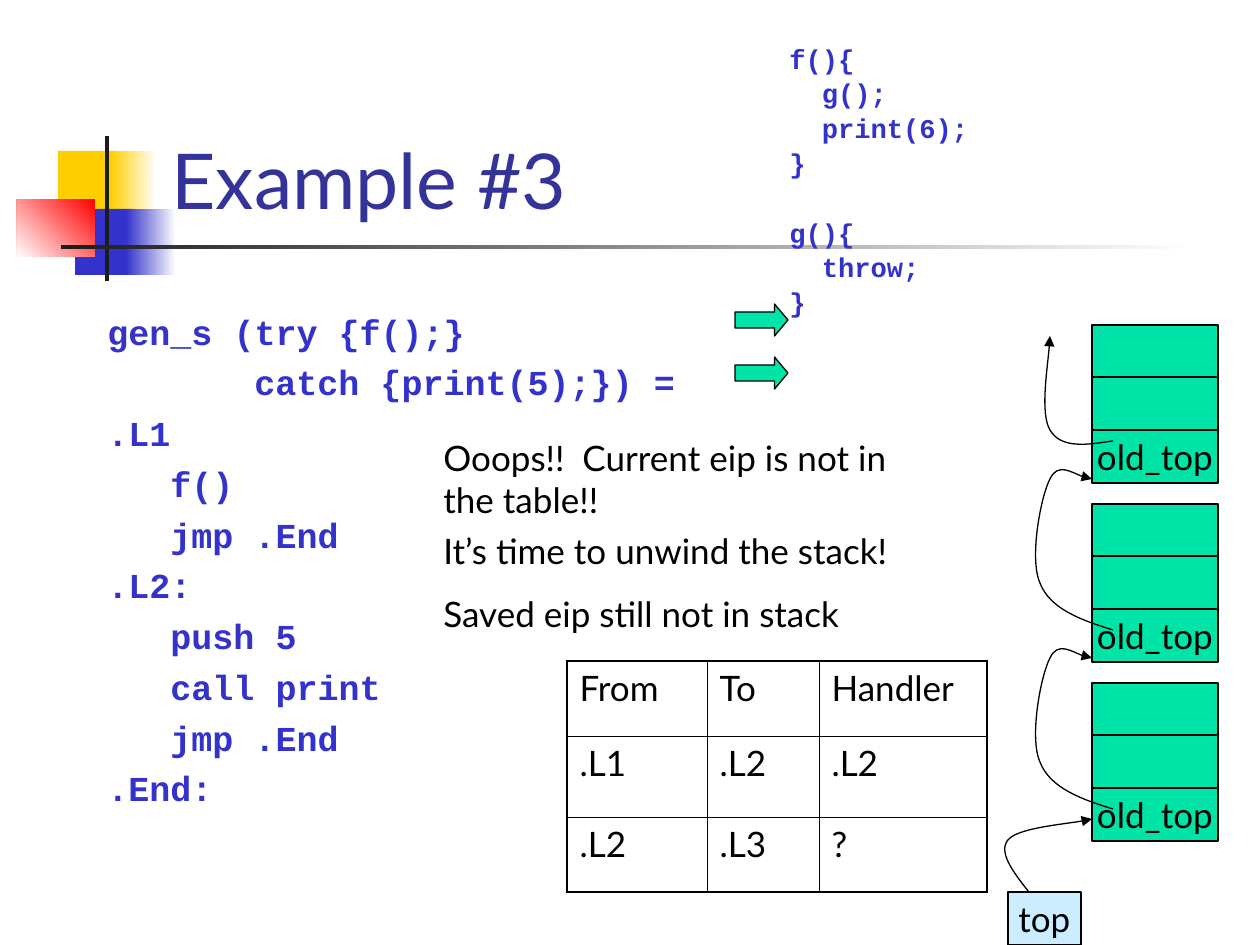
"""Builds the slide on unwinding the stack through saved handler records."""
import pptx
import pptx.dml.color
import pptx.enum.shapes
import pptx.enum.text
import pptx.util
from lxml import etree
from pptx.oxml import ns

RGB = pptx.dml.color.RGBColor
BLACK = RGB(0x00, 0x00, 0x00)
WHITE = RGB(0xFF, 0xFF, 0xFF)
GOLD = RGB(0xFF, 0xCF, 0x01)
BLUE = RGB(0x33, 0x33, 0xCC)
RED = RGB(0xFF, 0x00, 0x00)
CHARCOAL = RGB(0x1C, 0x1C, 0x1C)
GREEN = RGB(0x00, 0xE4, 0xA8)
SKY = RGB(0xCC, 0xEC, 0xFF)
TITLE_BLUE = RGB(0x33, 0x33, 0x99)

SCALE = 914400 / 126
BODY, CODE = "Lato", "Courier New"
SHAPE = pptx.enum.shapes.MSO_SHAPE
ANCHOR = pptx.enum.text.MSO_ANCHOR

TITLE = ("Example #3", (159, 29, 1074, 202))
ORNAMENTS = [
    ((58, 151, 60, 66), GOLD, None),
    ((111, 151, 45, 66), (WHITE, GOLD), 180),
    ((75, 209, 58, 66), BLUE, None),
    ((126, 209, 50, 66), (WHITE, BLUE), 180),
    ((17, 199, 78, 58), (RED, WHITE), 225),
    ((105, 136, 4, 145), CHARCOAL, None),
    ((61, 245, 1134, 4), (WHITE, CHARCOAL), 180),
]
GENERATED = [
    (0, "gen_s (try {f();}"), (7, "catch {print(5);}) ="), (0, ".L1"),
    (3, "f()"), (3, "jmp .End"), (0, ".L2:"), (3, "push 5"),
    (3, "call print"), (3, "jmp .End"), (0, ".End:"),
]
FUNCTIONS = [
    [(0, "f(){"), (2, "g();"), (2, "print(6);"), (0, "}")],
    [(0, "g(){"), (2, "throw;"), (0, "}")],
]
REMARKS = [
    ("Ooops!!  Current eip is not in the table!!", (431, 430, 473, 97)),
    ("It’s time to unwind the stack!", (431, 523, 473, 97)),
    ("Saved eip still not in stack", (431, 586, 473, 55)),
]
HANDLERS = [("From", "To", "Handler"), (".L1", ".L2", ".L2"), (".L2", ".L3", "?")]
COLUMNS, ROWS = (140, 112, 168), (75, 81, 75)
FRAME_CELLS = ["", "", "old_top"]
FRAME_TOP, FRAME_STEP, FRAMES = 325, 179, 3
MARKERS = [(735, 304, 53, 32), (735, 357, 53, 32)]
OUTER_LINK = [(1113, 441), (1087, 445), (1061, 449), (1050, 430),
              (1040, 413), (1050, 352), (1050, 336)]
FRAME_LINK = [(1113, 630), (1081, 620), (1050, 609), (1040, 583), (1029, 558),
              (1041, 496), (1050, 479), (1058, 462), (1083, 479), (1092, 479)]
TOP_LINK = [(1029, 892), (1013, 872), (998, 852), (1008, 840),
            (1018, 828), (1079, 823), (1092, 819)]


def emu(*lengths):
    return [round(v * SCALE) for v in lengths]


def style(p, size, color, font=BODY, bold=False, before=0):
    p.space_before = pptx.util.Pt(before)
    for r in p.runs:
        r.font.size, r.font.name, r.font.bold = pptx.util.Pt(size), font, bold
        r.font.color.rgb = color


def add_text(slide, box):
    tf = slide.shapes.add_textbox(*emu(*box)).text_frame
    tf.word_wrap = True
    return tf


def add_code(slide, box, lines, size, spacing=None, gaps=()):
    tf = add_text(slide, box)
    for i, (indent, line) in enumerate(lines):
        p = tf.paragraphs[0] if i == 0 else tf.add_paragraph()
        p.text = line
        style(p, size, BLUE, CODE, True, 25 if i in gaps else 5)
        if spacing:
            p.line_spacing = spacing
        p._p.get_or_add_pPr().set("marL", str(pptx.util.Pt(indent * size * 0.6)))


def add_block(slide, box, fill, label="", kind=SHAPE.RECTANGLE):
    s = slide.shapes.add_shape(kind, *emu(*box))
    s.shadow.inherit = False
    s.fill.solid()
    s.fill.fore_color.rgb = fill
    s.line.color.rgb, s.line.width = BLACK, pptx.util.Pt(0.75)
    if label:
        tf = s.text_frame
        tf.text, tf.word_wrap, tf.vertical_anchor = label, False, ANCHOR.MIDDLE
        tf.paragraphs[0].alignment = pptx.enum.text.PP_ALIGN.CENTER
        style(tf.paragraphs[0], 20, BLACK)
    return s


def add_ornament(slide, box, colors, angle):
    s = slide.shapes.add_shape(SHAPE.RECTANGLE, *emu(*box))
    s.shadow.inherit = False
    s.line.fill.background()
    if angle is None:
        s.fill.solid()
        s.fill.fore_color.rgb = colors
    else:
        s.fill.gradient()
        s.fill.gradient_angle = angle
        for stop, color, position in zip(s.fill.gradient_stops, colors, (0, 1)):
            stop.color.rgb, stop.position = color, position


def add_link(slide, knots, shift=0):
    points = [emu(x, y + shift) for x, y in knots]
    builder = slide.shapes.build_freeform(*points[0])
    builder.add_line_segments(points[1:], close=False)
    s = builder.convert_to_shape()
    segments = list(s._element.iter(ns.qn("a:lnTo")))
    for i in range(0, len(segments), 3):
        curve = etree.Element(ns.qn("a:cubicBezTo"))
        segments[i].addprevious(curve)
        for segment in segments[i:i + 3]:
            curve.append(segment[0])
            segment.getparent().remove(segment)
    s.shadow.inherit = False
    s.fill.background()
    s.line.color.rgb, s.line.width = BLACK, pptx.util.Pt(0.75)
    etree.SubElement(s.line._get_or_add_ln(), ns.qn("a:tailEnd"), type="triangle")


def add_frame(slide, n):
    for i, label in enumerate(FRAME_CELLS):
        top = FRAME_TOP + n * FRAME_STEP + i * 105 // 2
        add_block(slide, (1092, top, 126, 53), GREEN, label)


def add_border(cell, side, width):
    tc_pr = cell._tc.get_or_add_tcPr()
    ln = etree.SubElement(tc_pr, ns.qn("a:" + side), w=str(pptx.util.Pt(width)))
    fill = etree.SubElement(ln, ns.qn("a:solidFill"))
    etree.SubElement(fill, ns.qn("a:srgbClr"), val=str(BLACK))


def add_handlers(slide):
    rows, cols = len(ROWS), len(COLUMNS)
    box = emu(567, 661, sum(COLUMNS), sum(ROWS))
    table = slide.shapes.add_table(rows, cols, *box).table
    table.first_row = table.horz_banding = False
    for col, width in zip(table.columns, emu(*COLUMNS)):
        col.width = width
    for row, height in zip(table.rows, emu(*ROWS)):
        row.height = height
    for i, values in enumerate(HANDLERS):
        for j, value in enumerate(values):
            cell = table.cell(i, j)
            cell.text = value
            style(cell.text_frame.paragraphs[0], 20, BLACK, before=5)
            edges = {"lnL": j == 0, "lnR": j == cols - 1,
                     "lnT": i == 0, "lnB": i == rows - 1}
            for side, outer in edges.items():
                add_border(cell, side, 1.08 if outer else 0.45)
            cell.fill.background()


def main():
    prs = pptx.Presentation()
    prs.slide_width, prs.slide_height = emu(1260, 945)
    slide = prs.slides.add_slide(prs.slide_layouts[6])
    for ornament in ORNAMENTS:
        add_ornament(slide, *ornament)
    add_frame(slide, 0)
    add_link(slide, TOP_LINK)
    add_block(slide, (1008, 892, 73, 53), SKY, "top")
    add_link(slide, OUTER_LINK)
    add_code(slide, (95, 304, 609, 609), GENERATED, 20)
    add_handlers(slide)
    tf = add_text(slide, TITLE[1])
    tf.text, tf.vertical_anchor = TITLE[0], ANCHOR.BOTTOM
    style(tf.paragraphs[0], 44, TITLE_BLUE)
    add_code(slide, (777, 42, 252, 347), sum(FUNCTIONS, []), 15.5, 0.8,
             gaps=(len(FUNCTIONS[0]),))
    for n in range(1, FRAMES):
        add_frame(slide, n)
        add_link(slide, FRAME_LINK, (n - 1) * FRAME_STEP)
    for box in MARKERS:
        s = add_block(slide, box, GREEN, kind=SHAPE.RIGHT_ARROW)
        s.adjustments[1] = 0.42
    for remark, box in REMARKS:
        tf = add_text(slide, box)
        tf.text = remark
        style(tf.paragraphs[0], 20, BLACK, before=12.5)
    prs.save("out.pptx")


if __name__ == "__main__":
    main()
